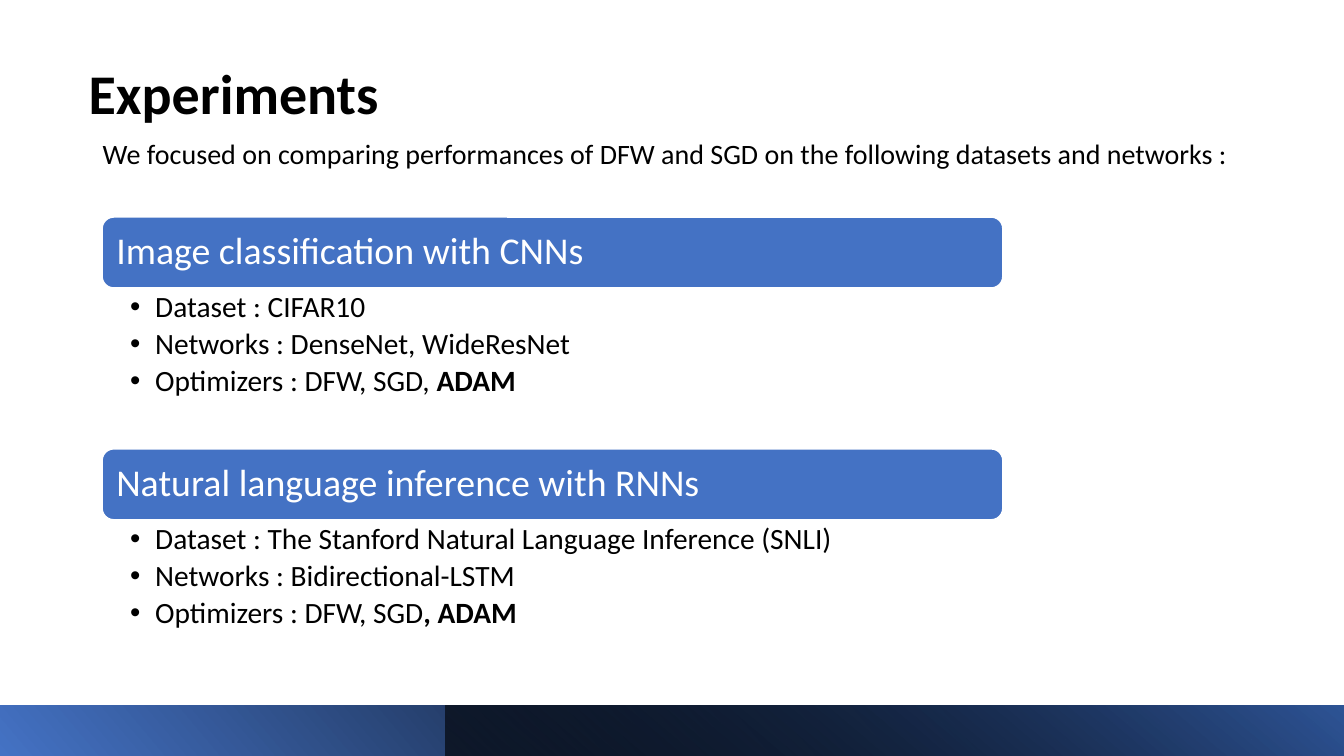
from lxml import etree
from pptx import Presentation
from pptx.dml.color import RGBColor
from pptx.enum.shapes import MSO_SHAPE
from pptx.enum.text import MSO_ANCHOR, MSO_AUTO_SIZE, PP_ALIGN
from pptx.oxml.ns import qn
from pptx.util import Inches, Pt

RECT, ROUNDED = MSO_SHAPE.RECTANGLE, MSO_SHAPE.ROUNDED_RECTANGLE
TOP, MIDDLE, BOTTOM = MSO_ANCHOR.TOP, MSO_ANCHOR.MIDDLE, MSO_ANCHOR.BOTTOM
LEFT = PP_ALIGN.LEFT
NO_FIT = MSO_AUTO_SIZE.NONE

TITLE_ONLY = 5
BLUE, NAVY, BLACK, WHITE = "4472C4", "2F5597", "000000", "FFFFFF"
INDENT = Inches(0.25)

# Each bullet is a plain part and a bold ending.
TOPICS = [
    ("Image classification with CNNs", [
        ("Dataset : CIFAR10", ""),
        ("Networks : DenseNet, WideResNet", ""),
        ("Optimizers : DFW, SGD, ", "ADAM"),
    ]),
    ("Natural language inference with RNNs", [
        ("Dataset : The Stanford Natural Language Inference (SNLI)", ""),
        ("Networks : Bidirectional-LSTM", ""),
        ("Optimizers : DFW, SGD", ", ADAM"),
    ]),
]


def rgb(value):
    return RGBColor.from_string(value)


class SlideBuilder:
    """Holds the text style and the slide being filled."""

    font = "Calibri"

    def __init__(self, prs):
        self.slide = prs.slides.add_slide(prs.slide_layouts[TITLE_ONLY])

    def frame(self, sp, anchor=TOP, insets=(0.1, 0.05, 0.1, 0.05)):
        tf = sp.text_frame
        tf.word_wrap = True
        tf.auto_size = NO_FIT
        tf.vertical_anchor = anchor
        tf.margin_left, tf.margin_top, tf.margin_right, tf.margin_bottom = map(Inches, insets)
        return tf

    def style(self, p, size, color=BLACK, spacing=0.9, after=0):
        p.alignment = LEFT
        p.line_spacing = spacing
        p.space_after = Pt(after)
        p.font.name = self.font
        p.font.size = Pt(size)
        p.font.color.rgb = rgb(color)

    def title(self, box, text):
        sp = self.slide.shapes.title
        sp.left, sp.top, sp.width, sp.height = map(Inches, box)
        p = self.frame(sp, BOTTOM).paragraphs[0]
        p.text = text
        self.style(p, 40)
        p.font.bold = True

    def text(self, box, text, size):
        sp = self.slide.shapes.add_textbox(*map(Inches, box))
        p = self.frame(sp).paragraphs[0]
        p.text = text
        self.style(p, size, spacing=1.0, after=6)

    def shape(self, kind, box):
        sp = self.slide.shapes.add_shape(kind, *map(Inches, box))
        sp.shadow.inherit = False
        return sp

    def gradient_bar(self, box, stops, angle, rotation=0):
        """Draw a mirrored bar; stops are (position, colour, opacity), angle is clockwise."""
        sp = self.shape(RECT, box)
        sp.rotation = rotation
        sp._element.spPr.xfrm.set("flipH", "1")
        sp.line.fill.background()
        sp.fill.gradient()
        sp.fill.gradient_angle = 360 - angle
        for stop, (position, color, opacity) in zip(sp.fill.gradient_stops, stops):
            stop.position = position
            stop.color.rgb = rgb(color)
            if opacity < 1:
                clr = stop._gs.find(qn("a:srgbClr"))
                etree.SubElement(clr, qn("a:alpha"), val=str(int(opacity * 100000)))

    def header(self, box, text):
        sp = self.shape(ROUNDED, box)
        sp.fill.solid()
        sp.fill.fore_color.rgb = rgb(BLUE)
        sp.line.color.rgb = rgb(WHITE)
        sp.line.width = Pt(1.5)
        p = self.frame(sp, MIDDLE, (0.11,) * 4).paragraphs[0]
        p.text = text
        self.style(p, 27, WHITE)

    def bullets(self, box, items):
        sp = self.slide.shapes.add_textbox(*map(Inches, box))
        tf = self.frame(sp, TOP, (0.28, 0.04, 0.21, 0.04))
        for i, (plain, bold) in enumerate(items):
            p = tf.add_paragraph() if i else tf.paragraphs[0]
            p.level = 1
            p.add_run().text = plain
            if bold:
                r = p.add_run()
                r.text = bold
                r.font.bold = True
            self.style(p, 21, after=3.7)
            pPr = p._p.get_or_add_pPr()
            pPr.set("marL", str(INDENT))
            pPr.set("indent", str(-INDENT))
            bu_font = etree.Element(qn("a:buFont"), typeface="Arial")
            bu_char = etree.Element(qn("a:buChar"), char="•")
            def_rpr = pPr.find(qn("a:defRPr"))
            def_rpr.addprevious(bu_font)
            def_rpr.addprevious(bu_char)


def main():
    prs = Presentation()
    prs.slide_width, prs.slide_height = Inches(13.33), Inches(7.5)
    s = SlideBuilder(prs)

    s.title((0.78, 0.31, 6.29, 1), "Experiments")
    s.text((0.92, 1.31, 11.49, 0.44),
           "We focused on comparing performances of DFW and SGD "
           "on the following datasets and networks :", 20)

    s.gradient_bar((0, 7, 13.33, 0.5), [(0, BLUE, 1), (0.78, BLACK, 1)], 40, rotation=180)
    s.gradient_bar((4.42, 7, 8.91, 0.5), [(0, BLACK, 0.63), (1, NAVY, 1)], 230)

    left, width, header_height, pitch = 1.01, 8.94, 0.71, 2.3
    for i, (heading, items) in enumerate(TOPICS):
        top = 2.15 + i * pitch
        s.header((left, top, width, header_height), heading)
        s.bullets((left, top + header_height, width, 1.19), items)

    prs.save("out.pptx")


if __name__ == "__main__":
    main()
